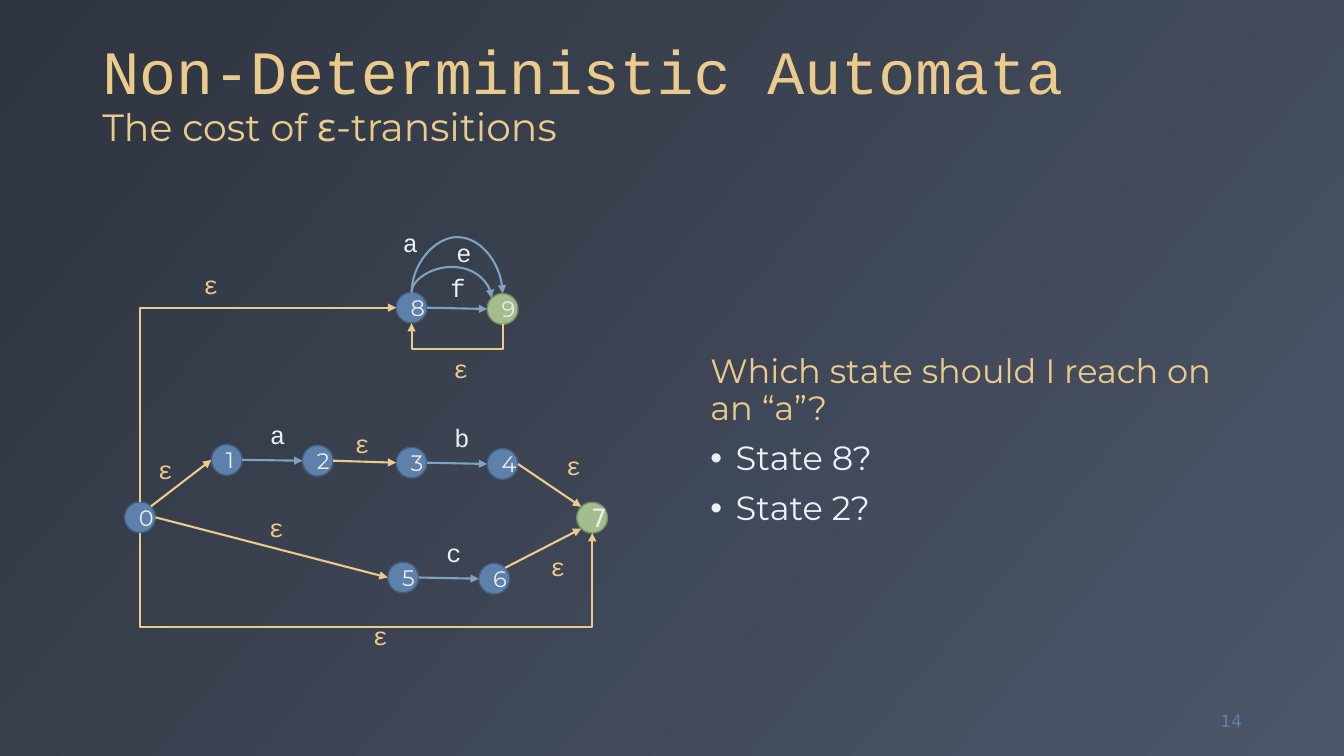
from math import cos, radians, sin

from lxml.etree import SubElement
from pptx import Presentation
from pptx.dml.color import RGBColor
from pptx.enum.shapes import MSO_CONNECTOR, MSO_SHAPE
from pptx.enum.text import MSO_ANCHOR, MSO_AUTO_SIZE, PP_ALIGN
from pptx.oxml.ns import qn
from pptx.util import Pt

COLORS = {
    "dark": "2E3440", "slate": "4C5669", "gold": "EBCB8B", "white": "ECEFF3",
    "blue": "5E81AC", "blue outline": "465F7F", "light blue": "81A1C1",
    "green": "A3BE8C", "green outline": "798D68",
}
CODE_FONT, TEXT_FONT, PLAIN_FONT = "Courier New", "Montserrat", "DejaVu Sans"
NODE_SIZE = 22
EPSILON = "ε"

# Connection sites of an ellipse, counted anticlockwise from the top
TOP, TOP_LEFT, LEFT, BOTTOM_LEFT, BOTTOM, _, RIGHT, TOP_RIGHT = range(8)
STRAIGHT, ELBOW, CURVE = MSO_CONNECTOR.STRAIGHT, MSO_CONNECTOR.ELBOW, MSO_CONNECTOR.CURVE


def add_run(paragraph, text, size, font, color):
    run = paragraph.add_run()
    run.text = text
    run.font.size = Pt(size)
    run.font.name = font
    run.font.color.rgb = RGBColor.from_string(COLORS[color])


def add_text_box(left, top, width, height, anchor, wrap=True):
    """Add an empty text box and return its text frame."""
    box = slide.shapes.add_textbox(Pt(left), Pt(top), Pt(width), Pt(height))
    box.text_frame.word_wrap = wrap
    box.text_frame.vertical_anchor = anchor
    return box.text_frame


presentation = Presentation()
presentation.slide_width = Pt(960)
presentation.slide_height = Pt(540)
slide = presentation.slides.add_slide(presentation.slide_layouts[6])

background = slide.background.fill
background.gradient()
background.gradient_angle = 320
for stop, color in zip(background.gradient_stops, ("dark", "slate")):
    stop.color.rgb = RGBColor.from_string(COLORS[color])

# Title and slide number
title = add_text_box(66, 13, 828, 98, MSO_ANCHOR.BOTTOM).paragraphs[0]
title.line_spacing = 0.9
add_run(title, "Non-Deterministic Automata", 44, CODE_FONT, "gold")
title.add_line_break()
add_run(title, "The cost of ", 27, TEXT_FONT, "gold")
add_run(title, "ε-transitions", 28, TEXT_FONT, "gold")

number = add_text_box(834.5, 500.4, 59.8, 28.8, MSO_ANCHOR.MIDDLE).paragraphs[0]
number.alignment = PP_ALIGN.RIGHT
add_run(number, "14", 12, PLAIN_FONT, "blue")

# States: left and top of each circle
states = {
    "0": (89, 358.5), "1": (151, 317.5), "2": (216, 318.1), "3": (283, 319.5),
    "4": (348, 320.4), "5": (277, 401.5), "6": (342, 402.4), "7": (412, 358.8),
    "8": (283, 208.8), "9": (348, 209.7),
}
nodes = {}
for name, (left, top) in states.items():
    node = slide.shapes.add_shape(MSO_SHAPE.OVAL, Pt(left), Pt(top), Pt(NODE_SIZE), Pt(NODE_SIZE))
    fill = "green" if name in "79" else "blue"
    node.shadow.inherit = False
    node.fill.solid()
    node.fill.fore_color.rgb = RGBColor.from_string(COLORS[fill])
    node.line.color.rgb = RGBColor.from_string(COLORS[fill + " outline"])
    node.line.width = Pt(1)
    paragraph = node.text_frame.paragraphs[0]
    paragraph.alignment = PP_ALIGN.CENTER
    size, font = (18, PLAIN_FONT) if name == "7" else (16, TEXT_FONT)
    add_run(paragraph, name, size, font, "white")
    nodes[name] = node

# Transitions: start, site, end, site, symbol, label position, route, height the route bends at
transitions = [
    ("1", RIGHT, "2", LEFT, "a", (185.8, 296), STRAIGHT, None),
    ("3", RIGHT, "4", LEFT, "b", (317.5, 298), STRAIGHT, None),
    ("2", RIGHT, "3", LEFT, EPSILON, (246.2, 302.4), STRAIGHT, None),
    ("5", RIGHT, "6", LEFT, "c", (311.8, 380.2), STRAIGHT, None),
    ("0", RIGHT, "5", LEFT, EPSILON, (185, 362.2), STRAIGHT, None),
    ("0", TOP_RIGHT, "1", LEFT, EPSILON, (105.8, 321.1), STRAIGHT, None),
    ("4", RIGHT, "7", TOP_LEFT, EPSILON, (397.4, 318.2), STRAIGHT, None),
    ("6", TOP_RIGHT, "7", BOTTOM_LEFT, EPSILON, (386, 390.2), STRAIGHT, None),
    ("0", BOTTOM, "7", BOTTOM, EPSILON, (259.2, 439.2), ELBOW, 445.4),
    ("8", RIGHT, "9", LEFT, "f", (314.6, 190.8), STRAIGHT, None),
    ("9", BOTTOM, "8", BOTTOM, EPSILON, (316.8, 249.1), ELBOW, 249.4),
    ("0", TOP, "8", LEFT, EPSILON, (138.2, 188.6), ELBOW, None),
    ("8", TOP, "9", TOP_LEFT, "e", (319, 165.6), CURVE, 190.6),
    ("8", TOP, "9", TOP, "a", (280.8, 159.1), CURVE, 169.7),
]
for start, start_site, end, end_site, symbol, label_at, route, bend in transitions:
    points = []
    for name, site in ((start, start_site), (end, end_site)):
        angle = radians(90 + 45 * site)
        radius = NODE_SIZE / 2
        left, top = states[name]
        points += [left + radius + radius * cos(angle), top + radius - radius * sin(angle)]
    x1, y1, x2, y2 = points

    if route == STRAIGHT:
        connector = slide.shapes.add_connector(route, *map(Pt, points))
    else:
        # A route that leaves vertically is a horizontal one given a quarter turn
        middle_x, middle_y = (x1 + x2) / 2, (y1 + y2) / 2
        half_width, half_height = abs(y2 - y1) / 2, abs(x2 - x1) / 2
        connector = slide.shapes.add_connector(
            route, Pt(middle_x - half_width), Pt(middle_y - half_height),
            Pt(middle_x + half_width), Pt(middle_y + half_height))
        connector.rotation = 270 if y2 > y1 else 90
        frame = connector._element.spPr.find(qn("a:xfrm"))
        frame.set("flipH", "1")
        geometry = connector._element.spPr.find(qn("a:prstGeom"))
        if bend is None:
            frame.set("flipV", "1")
            geometry.set("prst", "bentConnector2")
        else:
            ratio = round((bend - y1) / (y2 - y1) * 100000)
            adjustments = geometry.find(qn("a:avLst"))
            SubElement(adjustments, qn("a:gd"), name="adj1", fmla=f"val {ratio}")

    links = connector._element.find(".//" + qn("p:cNvCxnSpPr"))
    SubElement(links, qn("a:stCxn"), id=str(nodes[start].shape_id), idx=str(start_site))
    SubElement(links, qn("a:endCxn"), id=str(nodes[end].shape_id), idx=str(end_site))
    line_color = "gold" if symbol == EPSILON else "light blue"
    connector.line.color.rgb = RGBColor.from_string(COLORS[line_color])
    connector.line.width = Pt(1.5)
    SubElement(connector.line._get_or_add_ln(), qn("a:tailEnd"), type="triangle")
    SubElement(connector._element.spPr, qn("a:effectLst"))

    label = add_text_box(*label_at, 25, 29, MSO_ANCHOR.TOP, wrap=False)
    label.auto_size = MSO_AUTO_SIZE.SHAPE_TO_FIT_TEXT
    label_color = "gold" if symbol == EPSILON else "white"
    add_run(label.paragraphs[0], symbol, 18, CODE_FONT, label_color)

# Question with its possible answers
question = add_text_box(500.4, 144, 393.1, 342.7, MSO_ANCHOR.MIDDLE)
paragraph = question.paragraphs[0]
paragraph.line_spacing = 0.9
add_run(paragraph, "Which state should I reach on an “a”?", 24, TEXT_FONT, "gold")
for answer in ("State 8?", "State 2?"):
    paragraph = question.add_paragraph()
    paragraph.line_spacing = 0.9
    paragraph.space_before = Pt(10)
    properties = paragraph._p.get_or_add_pPr()
    properties.set("marL", str(Pt(18)))
    properties.set("indent", str(-Pt(18)))
    SubElement(properties, qn("a:buFont"), typeface="Arial")
    SubElement(properties, qn("a:buChar"), char="•")
    add_run(paragraph, answer, 24, TEXT_FONT, "white")

presentation.save("out.pptx")
